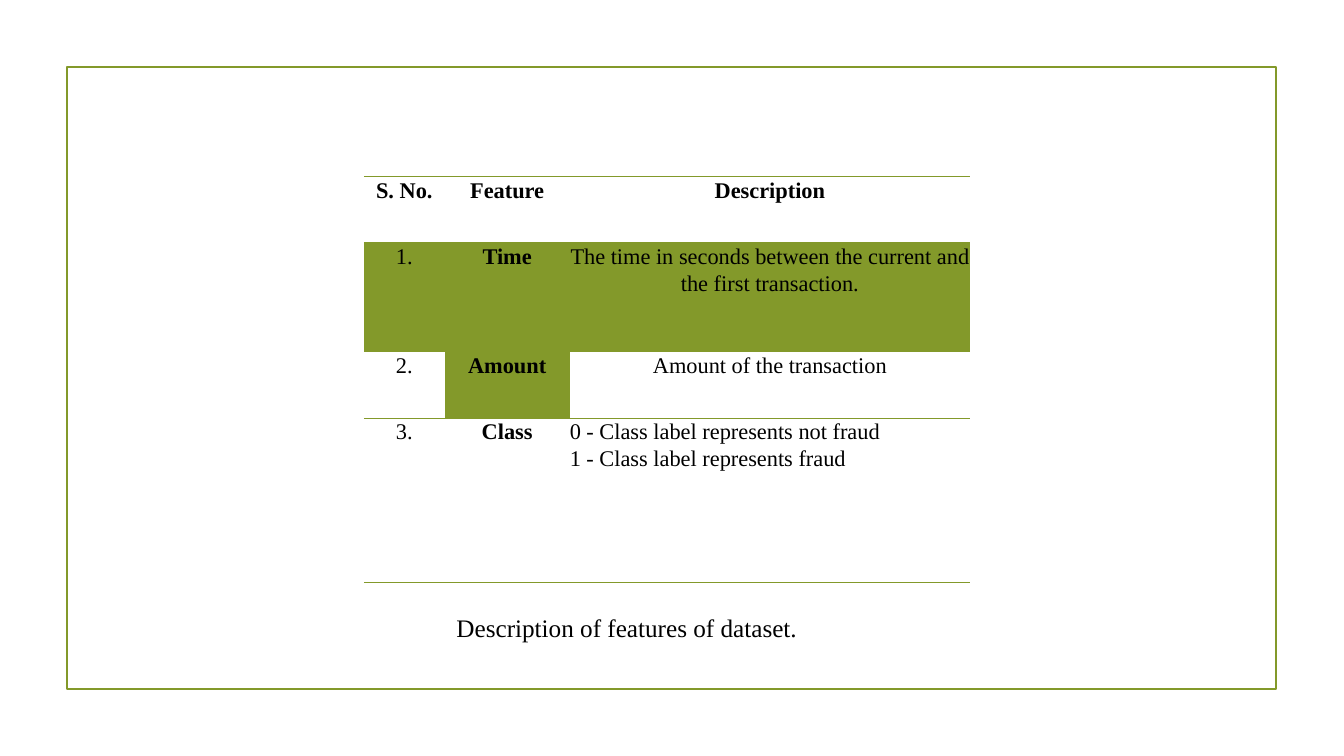
import pptx
import pptx.dml.color
import pptx.enum.shapes
import pptx.enum.text
import pptx.oxml
import pptx.oxml.ns
import pptx.util

Pt = pptx.util.Pt
CENTER = pptx.enum.text.PP_ALIGN.CENTER
LEFT = pptx.enum.text.PP_ALIGN.LEFT


def color(hex_string):
    return pptx.dml.color.RGBColor.from_string(hex_string)


class SlideBuilder:
    font = "Times New Roman"
    ink = "000000"
    accent = "83992A"
    tint_percent = 20

    def __init__(self, slide):
        self.slide = slide

    def add_run(self, paragraph, text, size, bold=False):
        run = paragraph.add_run()
        run.text = text
        run.font.name = self.font
        run.font.size = Pt(size)
        run.font.bold = bold
        run.font.color.rgb = color(self.ink)

    def frame(self, left, top, width, height):
        shape = self.slide.shapes.add_shape(
            pptx.enum.shapes.MSO_SHAPE.RECTANGLE,
            Pt(left), Pt(top), Pt(width), Pt(height))
        shape.shadow.inherit = False
        shape.fill.background()
        shape.line.color.rgb = color(self.accent)
        shape.line.width = Pt(1.25)

    def caption(self, left, top, width, height, text):
        shape = self.slide.shapes.add_textbox(Pt(left), Pt(top), Pt(width), Pt(height))
        shape.text_frame.word_wrap = True
        shape.text_frame.auto_size = pptx.enum.text.MSO_AUTO_SIZE.SHAPE_TO_FIT_TEXT
        self.add_run(shape.text_frame.paragraphs[0], text, 18)

    def border(self, cell, side, visible):
        if visible:
            fill = f'<a:solidFill><a:srgbClr val="{self.accent}"/></a:solidFill>'
        else:
            fill = "<a:noFill/>"
        cell._tc.get_or_add_tcPr().append(pptx.oxml.parse_xml(
            f'<a:ln{side} {pptx.oxml.ns.nsdecls("a")} w="{Pt(1)}">{fill}</a:ln{side}>'))

    def fill_cell(self, cell, tinted):
        if not tinted:
            cell.fill.background()
            return
        cell.fill.solid()
        cell.fill.fore_color.rgb = color(self.accent)
        tint = cell._tc.tcPr.find(".//" + pptx.oxml.ns.qn("a:srgbClr"))
        tint.append(pptx.oxml.parse_xml(
            f'<a:alpha {pptx.oxml.ns.nsdecls("a")} val="{self.tint_percent * 1000}"/>'))

    def write_cell(self, cell, lines, bold):
        cell.margin_left = cell.margin_right = cell.margin_top = cell.margin_bottom = 0
        for index, line in enumerate(lines):
            frame = cell.text_frame
            paragraph = frame.add_paragraph() if index else frame.paragraphs[0]
            paragraph.alignment = LEFT if len(lines) > 1 else CENTER
            paragraph.line_spacing = 1.07
            paragraph.space_after = Pt(8 if line == lines[-1] else 0)
            self.add_run(paragraph, line, 16, bold)

    def table(self, left, top, widths, heights, rows, tinted, ruled):
        """Rules lie at the row boundaries in ruled, counted from the top edge."""
        table = self.slide.shapes.add_table(
            len(rows), len(widths), Pt(left), Pt(top),
            Pt(sum(widths)), Pt(sum(heights))).table
        table.first_row = table.horz_banding = False
        for column, width in zip(table.columns, widths):
            column.width = Pt(width)
        for row, height in zip(table.rows, heights):
            row.height = Pt(height)
        for r, row in enumerate(rows):
            for c, text in enumerate(row):
                cell = table.cell(r, c)
                self.write_cell(cell, text.split("\n"), r == 0 or c == 1)
                for side, visible in (("L", False), ("R", False),
                                      ("T", r in ruled), ("B", r + 1 in ruled)):
                    self.border(cell, side, visible)
                self.fill_cell(cell, (r, c) in tinted)


def main():
    presentation = pptx.Presentation()
    presentation.slide_width = Pt(960)
    presentation.slide_height = Pt(540)
    builder = SlideBuilder(presentation.slides.add_slide(presentation.slide_layouts[6]))

    # Page frame
    builder.frame(47.7, 48, 864, 444)

    # Feature table
    features = [
        ("S. No.", "Feature", "Description"),
        ("1.", "Time",
         "The time in seconds between the current and the first transaction."),
        ("2.", "Amount", "Amount of the transaction"),
        ("3.", "Class",
         "0 - Class label represents not fraud\n1 - Class label represents fraud"),
    ]
    builder.table(260, 126, [57.6, 89.4, 286], [47.6, 77.6, 47.6, 117.2], features,
                  tinted={(1, 0), (1, 1), (1, 2), (2, 1)}, ruled={0, 1, 3, 4})

    # Caption
    builder.caption(319, 434, 313, 29, "Description of features of dataset.")

    presentation.save("out.pptx")


if __name__ == "__main__":
    main()
